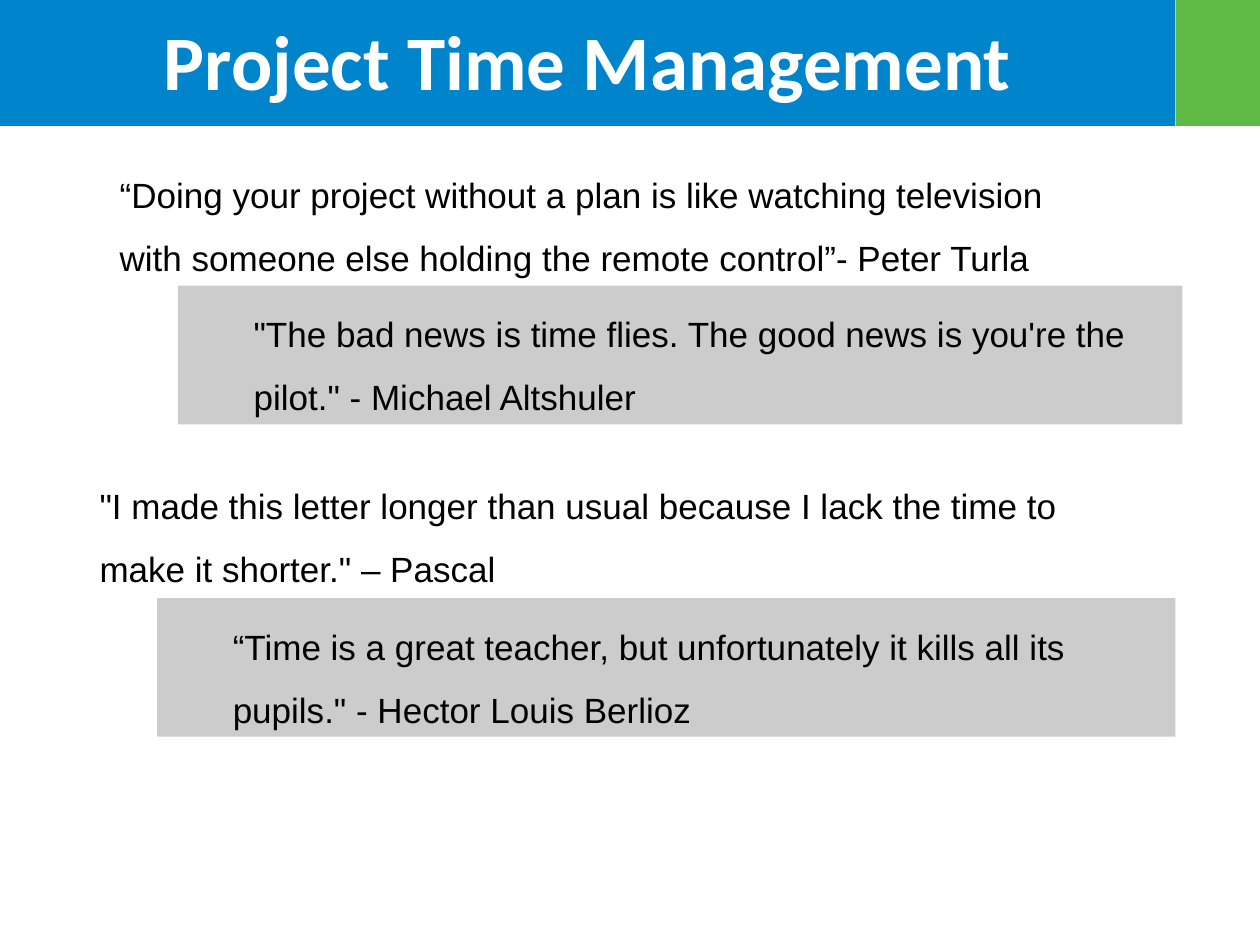
from dataclasses import dataclass

from pptx import Presentation
from pptx.dml.color import RGBColor as RGB
from pptx.enum.shapes import MSO_SHAPE as Shape
from pptx.enum.text import MSO_ANCHOR as Anchor, PP_ALIGN as Align
from pptx.util import Pt


@dataclass(frozen=True)
class Theme:
    blue: RGB = RGB(0x00, 0x84, 0xCC)
    green: RGB = RGB(0x60, 0xBB, 0x46)
    grey: RGB = RGB(0xCC, 0xCC, 0xCC)
    black: RGB = RGB(0, 0, 0)
    white: RGB = RGB(0xFF, 0xFF, 0xFF)
    title_size: Pt = Pt(44)
    quote_size: Pt = Pt(20)


theme = Theme()
deck = Presentation()
deck.slide_width, deck.slide_height = Pt(720), Pt(540)
slide = deck.slides.add_slide(deck.slide_layouts[6])


def add_block(bounds, color=None):
    box = [Pt(length) for length in bounds]
    if color is None:
        return slide.shapes.add_textbox(*box)
    block = slide.shapes.add_shape(Shape.RECTANGLE, *box)
    block.shadow.inherit = False
    block.fill.solid()
    block.fill.fore_color.rgb = color
    block.line.fill.background()
    return block


def write(block, words, frame_format, paragraph_format, font_format, color):
    frame = block.text_frame
    paragraph = frame.paragraphs[0]
    paragraph.text = words
    for target, values in (
        (frame, frame_format),
        (paragraph, paragraph_format),
        (paragraph.font, font_format),
    ):
        for attribute, value in values.items():
            setattr(target, attribute, value)
    paragraph.font.color.rgb = color


for bounds, color in (
    ((-0.7, 0, 672.4, 72), theme.blue),
    ((672, 0, 48, 72), theme.green),
):
    add_block(bounds, color)

quote_frame = {"word_wrap": True, "vertical_anchor": Anchor.TOP, "margin_left": Pt(43.2)}
quote_paragraph = {"alignment": Align.LEFT, "line_spacing": 1.5}
quote_font = {"name": "Arial", "size": theme.quote_size}

quotes = (
    ((25.2, 83.5, 602.6, 77.8), None,
     "“Doing your project without a plan is like watching television with "
     "someone else holding the remote control”- Peter Turla"),
    ((101.7, 163.3, 574, 79.2), theme.grey,
     "\"The bad news is time flies. The good news is you're the pilot.\" "
     "- Michael Altshuler"),
    ((13.7, 261.4, 619.2, 79.2), None,
     "\"I made this letter longer than usual because I lack the time to make "
     "it shorter.\" – Pascal"),
    ((89.8, 341.8, 581.8, 79.2), theme.grey,
     "“Time is a great teacher, but unfortunately it kills all its pupils.\" "
     "- Hector Louis Berlioz"),
)
for bounds, color, quote in quotes:
    write(add_block(bounds, color), quote, quote_frame, quote_paragraph, quote_font, theme.black)

title_frame = {"word_wrap": True, "vertical_anchor": Anchor.MIDDLE}
title_paragraph = {"alignment": Align.CENTER}
title_font = {"name": "Calibri", "size": theme.title_size, "bold": True}
write(add_block((5.8, 2.2, 660.2, 63.4)), "Project Time Management",
      title_frame, title_paragraph, title_font, theme.white)

deck.save("out.pptx")
